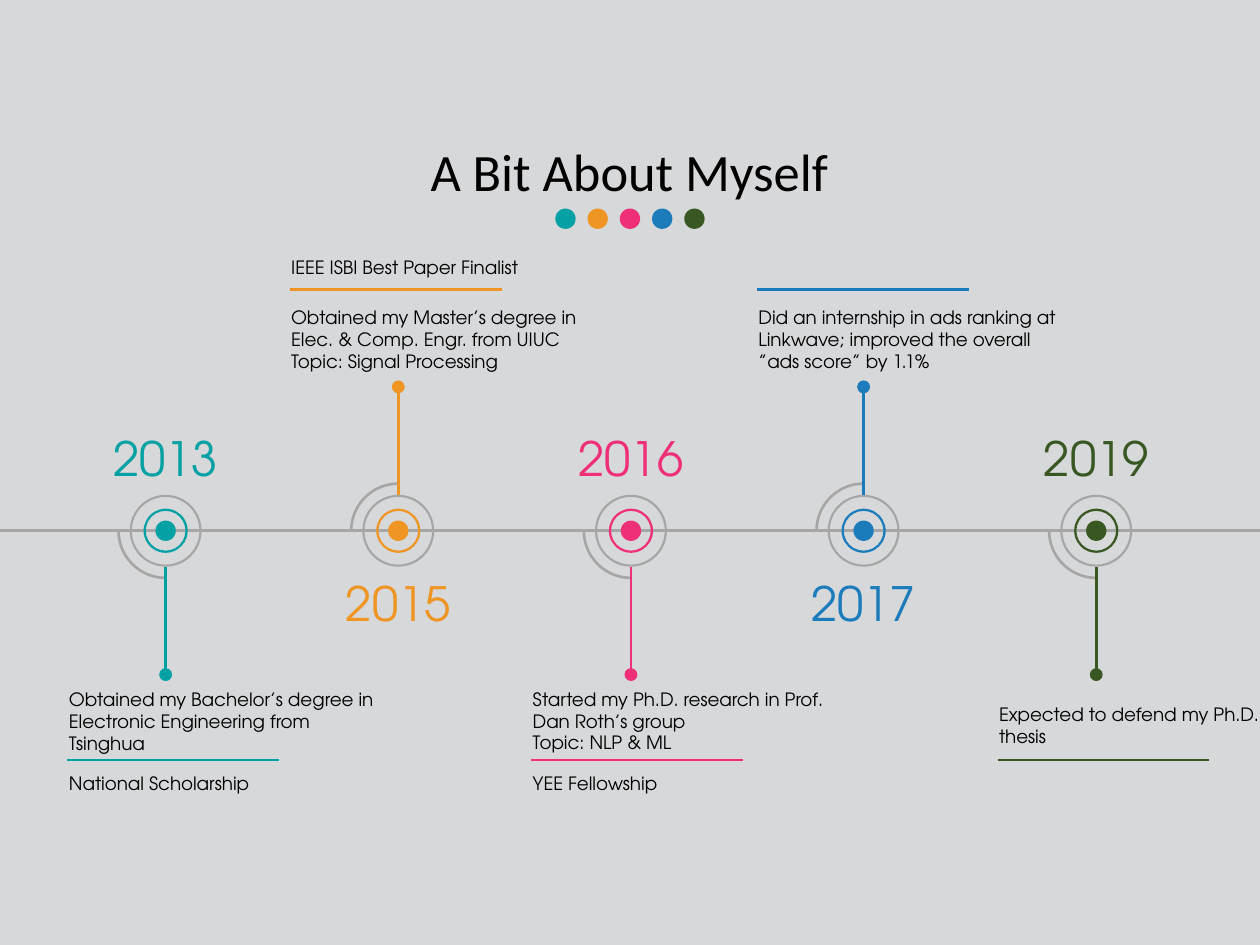
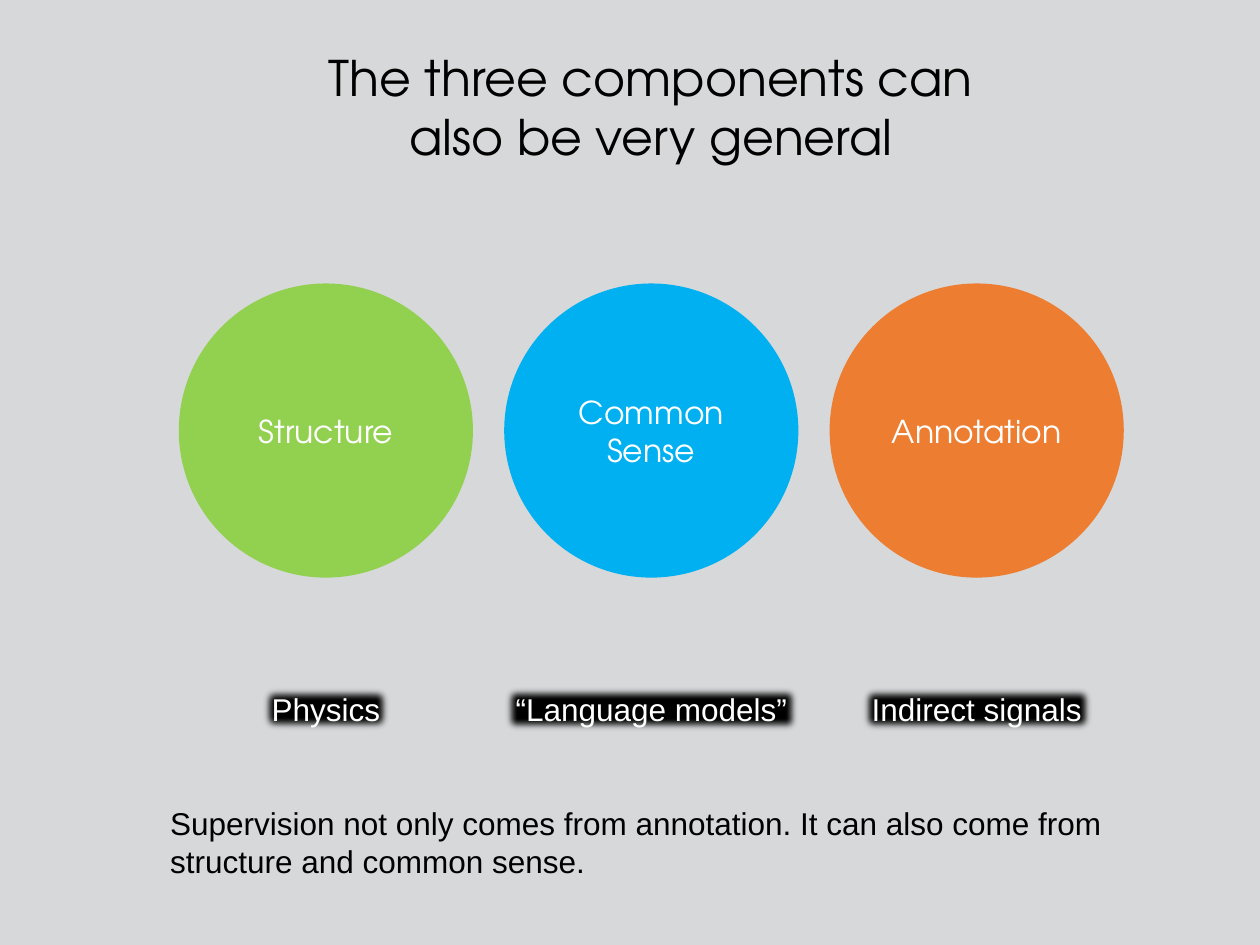
"""Builds a career timeline slide and a slide on three general components."""
from itertools import pairwise

from lxml.etree import SubElement
from pptx import Presentation
from pptx.dml.color import RGBColor
from pptx.enum.shapes import MSO_CONNECTOR, MSO_SHAPE as SHAPE
from pptx.enum.text import MSO_ANCHOR as ANCHOR, MSO_AUTO_SIZE, PP_ALIGN as ALIGN
from pptx.oxml.ns import qn
from pptx.util import Cm, Pt

DISPLAY, BODY, HEADING = "TeX Gyre Adventor", "Arial", "Calibri"
BACKDROP, GREY, BLACK, WHITE = "D7D8DA", "A6A6A6", "000000", "FFFFFF"
WIDTH, HEIGHT = 25.4, 19.05

ABOVE, BELOW = -1, 1
AXIS_Y, FIRST_STOP, STOP_GAP = 10.7, 3.34, 4.69
RULE_Y = {ABOVE: 5.84, BELOW: 15.32}
EVENTS = [
    {"year": "2013", "colour": "03A1A4", "side": BELOW, "left": 1.14, "width": 6.68,
     "notes": [(13.74, "Obtained my Bachelor’s degree in Electronic Engineering from Tsinghua"),
               (15.44, "National Scholarship")]},
    {"year": "2015", "colour": "EE9524", "side": ABOVE, "left": 5.62, "width": 6.68,
     "notes": [(5.03, "IEEE ISBI Best Paper Finalist"),
               (6.05, "Obtained my Master’s degree in Elec. & Comp. Engr. from UIUC"),
               (6.93, "Topic: Signal Processing")]},
    {"year": "2016", "colour": "EF3078", "side": BELOW, "left": 10.49, "width": 6.68,
     "notes": [(13.74, "Started my Ph.D. research in Prof. Dan Roth’s group"),
               (14.61, "Topic: NLP & ML"),
               (15.44, "YEE Fellowship")]},
    {"year": "2017", "colour": "1C7CBB", "side": ABOVE, "left": 15.04, "width": 6.68,
     "notes": [(6.05, "Did an internship in ads ranking at Linkwave; improved the overall "
                      "”ads score” by 1.1%")]},
    {"year": "2019", "colour": "385723", "side": BELOW, "left": 19.89, "width": 5.94,
     "notes": [(14.05, "Expected to defend my Ph.D. thesis")]},
]

COMPONENTS = [
    ("Structure", "92D050", "Physics", 2.72),
    ("Common Sense", "00B0F0", "“Language models”", 6.05),
    ("Annotation", "ED7D31", "Indirect signals", 4.78),
]
CONCLUSION = ("Supervision not only comes from annotation. "
              "It can also come from structure and common sense.")


def rgb(colour):
    """Return the colour object of a hex string."""
    return RGBColor.from_string(colour)


def write(holder, text, size, font, colour=BLACK, align=ALIGN.LEFT, anchor=ANCHOR.TOP, wrap=True):
    """Put one formatted paragraph into a shape."""
    frame = holder.text_frame
    frame.text = text
    frame.word_wrap = wrap
    frame.auto_size = MSO_AUTO_SIZE.NONE
    frame.vertical_anchor = anchor
    paragraph = frame.paragraphs[0]
    paragraph.alignment = align
    for run in paragraph.runs:
        run.font.size, run.font.name = Pt(size), font
        run.font.color.rgb = rgb(colour)


def add_slide(prs, title, size, font, left, top, width, height):
    """Add a title-only slide with its title placed and formatted."""
    slide = prs.slides.add_slide(prs.slide_layouts[5])
    heading = slide.shapes.title
    heading.left, heading.top, heading.width, heading.height = map(Cm, (left, top, width, height))
    write(heading, title, size, font, align=ALIGN.CENTER)
    return slide


def add_text(slide, text, left, top, width, height, size, font, **style):
    """Add a text box."""
    box = slide.shapes.add_textbox(Cm(left), Cm(top), Cm(width), Cm(height))
    write(box, text, size, font, **style)


def add_centred(slide, kind, x, y, width, height, colour, thickness=None):
    """Add a flat filled shape around a centre point."""
    shape = slide.shapes.add_shape(kind, Cm(x - width / 2), Cm(y - height / 2),
                                   Cm(width), Cm(height))
    shape.shadow.inherit = False
    shape.fill.solid()
    shape.fill.fore_color.rgb = rgb(colour)
    shape.line.fill.background()
    if thickness:
        shape.adjustments[0] = thickness
    return shape


def add_line(slide, x1, y1, x2, y2, colour):
    """Add a straight line without shadow."""
    line = slide.shapes.add_connector(MSO_CONNECTOR.STRAIGHT, *map(Cm, (x1, y1, x2, y2)))
    line.line.color.rgb = rgb(colour)
    line.line.width = Pt(1.5)
    SubElement(line._element.spPr, qn("a:effectLst"))


def add_swirl(slide, x, side):
    """Add the quarter arc beside a timeline stop."""
    swirl = add_centred(slide, SHAPE.ARC, x, AXIS_Y, 1.9, 1.9, GREY)
    swirl.fill.background()
    swirl.line.color.rgb = rgb(GREY)
    swirl.line.width = Pt(1.5)
    swirl.adjustments[0], swirl.adjustments[1] = 54, 108
    swirl.rotation = 90 if side == ABOVE else 0


def add_event(slide, x, event):
    """Draw one timeline stop with its year, stem, rule and notes."""
    colour, side, left = event["colour"], event["side"], event["left"]
    add_swirl(slide, x, side)
    add_centred(slide, SHAPE.OVAL, x, AXIS_Y, 0.41, 0.41, colour)
    add_centred(slide, SHAPE.DONUT, x, AXIS_Y, 0.89, 0.89, colour, 0.05)
    add_centred(slide, SHAPE.DONUT, x, AXIS_Y, 1.45, 1.45, GREY, 0.03)
    bead_y = AXIS_Y + side * 2.9
    add_line(slide, x, bead_y, x, AXIS_Y + side * 0.73, colour)
    add_centred(slide, SHAPE.OVAL, x, bead_y, 0.26, 0.26, colour)
    add_text(slide, event["year"], x - 1.57, AXIS_Y - side * 1.47 - 0.71, 3.14, 1.42,
             27, DISPLAY, colour=colour, align=ALIGN.CENTER)
    rule_y, rule_x = RULE_Y[side], left + 0.22
    add_line(slide, rule_x, rule_y, rule_x + 4.27, rule_y, colour)
    for top, note in event["notes"]:
        add_text(slide, note, left, top, event["width"], 0.71, 10.5, DISPLAY)


def build_timeline(prs):
    """Build the slide about the speaker."""
    slide = add_slide(prs, "A Bit About Myself", 30, HEADING, 5.11, 2.67, 15.16, 1.55)
    stops = [FIRST_STOP + i * STOP_GAP for i in range(len(EVENTS))]
    for start, end in pairwise([0, *stops, WIDTH]):
        add_line(slide, start, AXIS_Y, end, AXIS_Y, GREY)
    for i, (x, event) in enumerate(zip(stops, EVENTS)):
        add_event(slide, x, event)
        add_centred(slide, SHAPE.OVAL, 11.4 + i * 0.65, 4.41, 0.41, 0.41, event["colour"])


def build_components(prs):
    """Build the slide about the three components."""
    slide = add_slide(prs, "The three components can also be very general", 28, DISPLAY,
                      5.92, 0.84, 14.4, 2.64)
    for i, (component, colour, example, example_width) in enumerate(COMPONENTS):
        x = 6.57 + i * 6.56
        circle = add_centred(slide, SHAPE.OVAL, x, 8.68, 5.93, 5.93, colour)
        write(circle, component, 18, DISPLAY, WHITE, ALIGN.CENTER, ANCHOR.MIDDLE)
        label = add_centred(slide, SHAPE.RECTANGLE, x, 14.3, example_width, 1.02, BLACK)
        write(label, example, 18, BODY, WHITE, ALIGN.CENTER, ANCHOR.MIDDLE, wrap=False)
        effects = label._element.spPr.find(qn("a:effectLst"))
        SubElement(effects, qn("a:softEdge"), rad=str(Pt(5)))
    add_text(slide, CONCLUSION, 3.18, 16.08, 20.95, 1.8, 18, BODY)


def main():
    """Create and save the presentation."""
    prs = Presentation()
    prs.slide_width, prs.slide_height = Cm(WIDTH), Cm(HEIGHT)
    backdrop = prs.slide_master.background.fill
    backdrop.solid()
    backdrop.fore_color.rgb = rgb(BACKDROP)
    build_timeline(prs)
    build_components(prs)
    prs.save("out.pptx")


if __name__ == "__main__":
    main()
